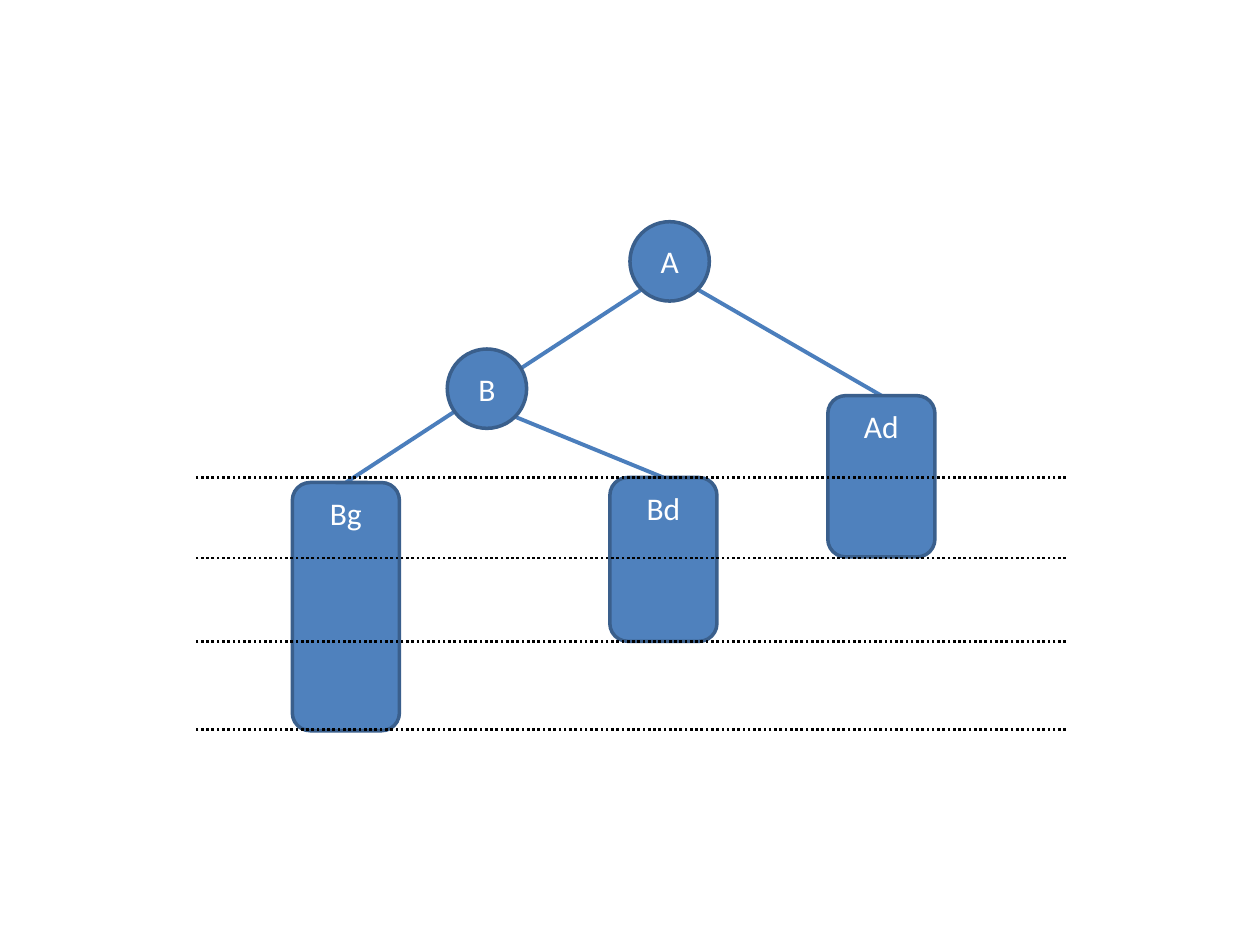
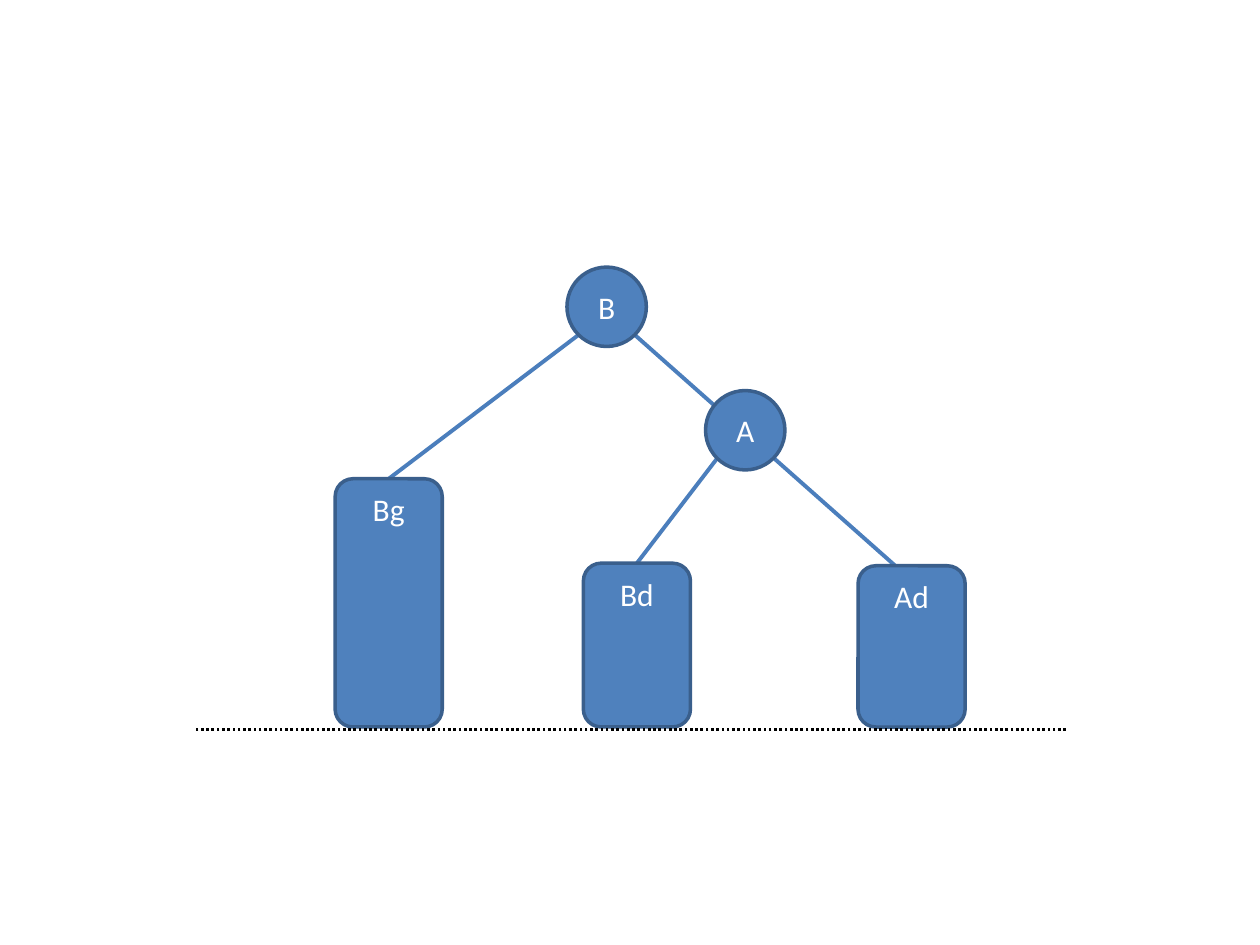
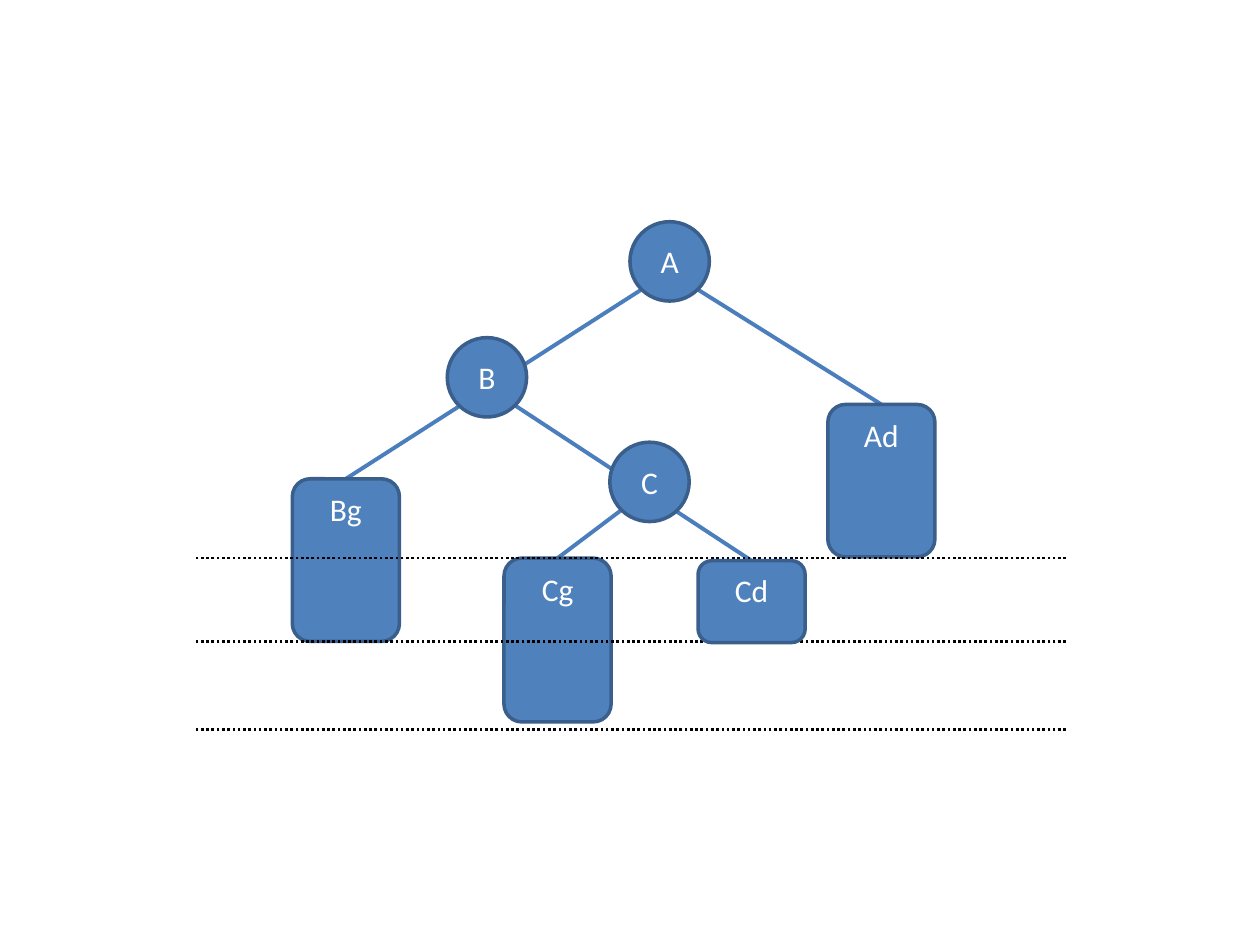
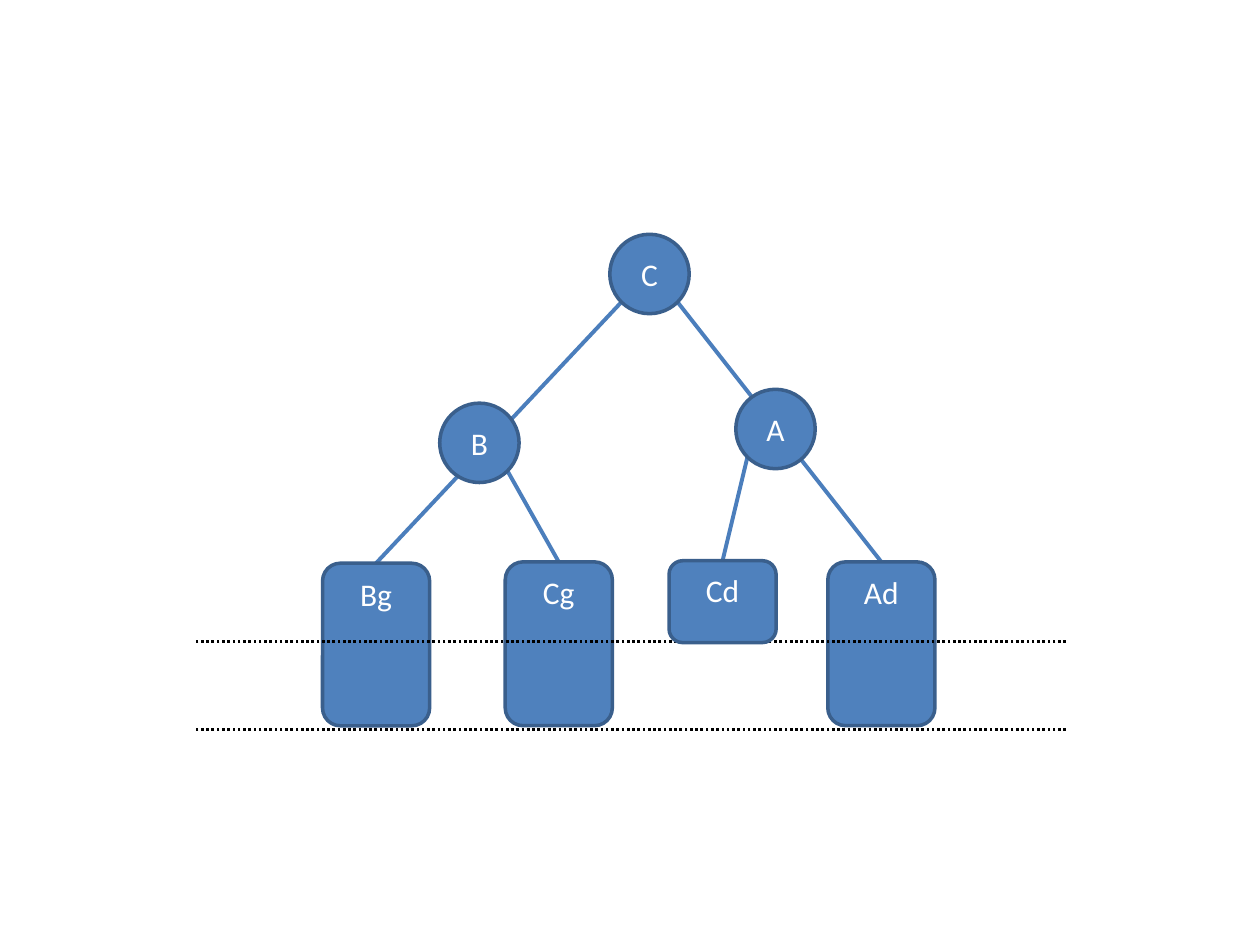
from dataclasses import dataclass, field
from math import sqrt

from lxml.etree import SubElement
from pptx import Presentation
from pptx.dml.color import RGBColor
from pptx.enum.dml import MSO_LINE
from pptx.enum.shapes import MSO_CONNECTOR, MSO_SHAPE
from pptx.enum.text import MSO_ANCHOR, PP_ALIGN
from pptx.oxml.ns import qn
from pptx.util import Inches, Pt

FILL = "4F81BD"
OUTLINE = "3A5F8C"
EDGE = "4B7EBC"
LEVEL = "000000"
TEXT = "FFFFFF"
FONT = "Calibri"
NODE_SIZE = 0.63
SUBTREE_WIDTH = 0.85
TREE_BOX = (1.54, 1.76, 6.92)
LEFT, RIGHT = -1, 1


@dataclass
class Tree:
    nodes: dict
    subtrees: dict
    edges: list
    levels: list
    in_front: set = field(default_factory=set)
    end_shifts: dict = field(default_factory=dict)


def color(value):
    return RGBColor.from_string(value)


def add_line(slide, start, end, line_color, width):
    points = [Inches(value) for value in (*start, *end)]
    connector = slide.shapes.add_connector(MSO_CONNECTOR.STRAIGHT, *points)
    connector.line.color.rgb = color(line_color)
    connector.line.width = Pt(width)
    SubElement(connector._element.spPr, qn("a:effectLst"))
    return connector


def add_labelled_shape(slide, kind, box, label, anchor):
    shape = slide.shapes.add_shape(kind, *[Inches(value) for value in box])
    shape.shadow.inherit = False
    shape.fill.solid()
    shape.fill.fore_color.rgb = color(FILL)
    shape.line.color.rgb = color(OUTLINE)
    shape.line.width = Pt(2)
    frame = shape.text_frame
    frame.text = label
    frame.word_wrap = True
    frame.vertical_anchor = anchor
    paragraph = frame.paragraphs[0]
    paragraph.alignment = PP_ALIGN.CENTER
    font = paragraph.runs[0].font
    font.name = FONT
    font.size = Pt(18)
    font.color.rgb = color(TEXT)
    return shape


def add_node(slide, label, left, top):
    box = (left, top, NODE_SIZE, NODE_SIZE)
    add_labelled_shape(slide, MSO_SHAPE.OVAL, box, label, MSO_ANCHOR.MIDDLE)


def add_subtree(slide, label, left, top, height):
    box = (left, top, SUBTREE_WIDTH, height)
    shape = add_labelled_shape(
        slide, MSO_SHAPE.ROUNDED_RECTANGLE, box, label, MSO_ANCHOR.TOP)
    frame = shape.text_frame
    frame.margin_left = frame.margin_right = Inches(0.04)
    frame.margin_top = frame.margin_bottom = Inches(0.05)


def add_edge(slide, node, side, subtree, end_shift):
    radius = NODE_SIZE / 2
    diagonal = radius / sqrt(2)
    start = (node[0] + radius + side * diagonal, node[1] + radius + diagonal)
    end = (subtree[0] + SUBTREE_WIDTH / 2 + end_shift, subtree[1])
    add_line(slide, start, end, EDGE, 2.25)


def add_level(slide, left, top, width):
    connector = add_line(slide, (left + width, top), (left, top), LEVEL, 1.5)
    connector.line.dash_style = MSO_LINE.ROUND_DOT


def add_tree(slide, tree, box):
    left, top, width = box
    nodes = {label: (left + x, top + y) for label, (x, y) in tree.nodes.items()}
    subtrees = {label: (left + x, top + y, height)
                for label, (x, y, height) in tree.subtrees.items()}
    for node, side, subtree in tree.edges:
        add_edge(slide, nodes[node], side, subtrees[subtree],
                 tree.end_shifts.get(subtree, 0))
    for label, place in nodes.items():
        add_node(slide, label, *place)
    for label, place in subtrees.items():
        if label not in tree.in_front:
            add_subtree(slide, label, *place)
    for level in tree.levels:
        add_level(slide, left, top + level, width)
    for label in tree.in_front:
        add_subtree(slide, label, *subtrees[label])


TREES = [
    Tree(
        nodes={"A": (3.46, 0), "B": (2.01, 1.01)},
        subtrees={"Bd": (3.3, 2.03, 1.3), "Bg": (0.78, 2.07, 1.97),
                  "Ad": (5.03, 1.38, 1.28)},
        edges=[("A", LEFT, "Bg"), ("A", RIGHT, "Ad"), ("B", RIGHT, "Bd")],
        levels=[2.67, 3.33, 4.03, 2.03],
    ),
    Tree(
        nodes={"B": (2.96, 0.36), "A": (4.06, 1.34)},
        subtrees={"Bd": (3.09, 2.71, 1.3), "Bg": (1.12, 2.04, 1.97),
                  "Ad": (5.27, 2.73, 1.28)},
        edges=[("A", LEFT, "Bd"), ("B", LEFT, "Bg"), ("B", RIGHT, "Ad")],
        levels=[4.03],
        end_shifts={"Ad": -0.13},
    ),
    Tree(
        nodes={"A": (3.46, 0), "B": (2.01, 0.92), "C": (3.3, 1.75)},
        subtrees={"Cg": (2.46, 2.67, 1.3), "Bg": (0.78, 2.04, 1.29),
                  "Ad": (5.03, 1.45, 1.21), "Cd": (4, 2.69, 0.65)},
        edges=[("A", LEFT, "Bg"), ("A", RIGHT, "Ad"), ("B", RIGHT, "Cd"),
               ("C", LEFT, "Cg")],
        levels=[2.67, 3.33, 4.03],
        in_front={"Cd"},
    ),
    Tree(
        nodes={"A": (4.3, 1.33), "B": (1.95, 1.44), "C": (3.3, 0.1)},
        subtrees={"Cg": (2.47, 2.7, 1.3), "Bg": (1.02, 2.71, 1.29),
                  "Ad": (5.03, 2.7, 1.3), "Cd": (3.77, 2.69, 0.65)},
        edges=[("C", LEFT, "Bg"), ("A", LEFT, "Cd"), ("C", RIGHT, "Ad"),
               ("B", RIGHT, "Cg")],
        levels=[3.33, 4.03],
        in_front={"Cd"},
    ),
]

presentation = Presentation()
presentation.slide_width = Inches(10)
presentation.slide_height = Inches(7.5)
for tree in TREES:
    slide = presentation.slides.add_slide(presentation.slide_layouts[6])
    add_tree(slide, tree, TREE_BOX)
presentation.save("out.pptx")
